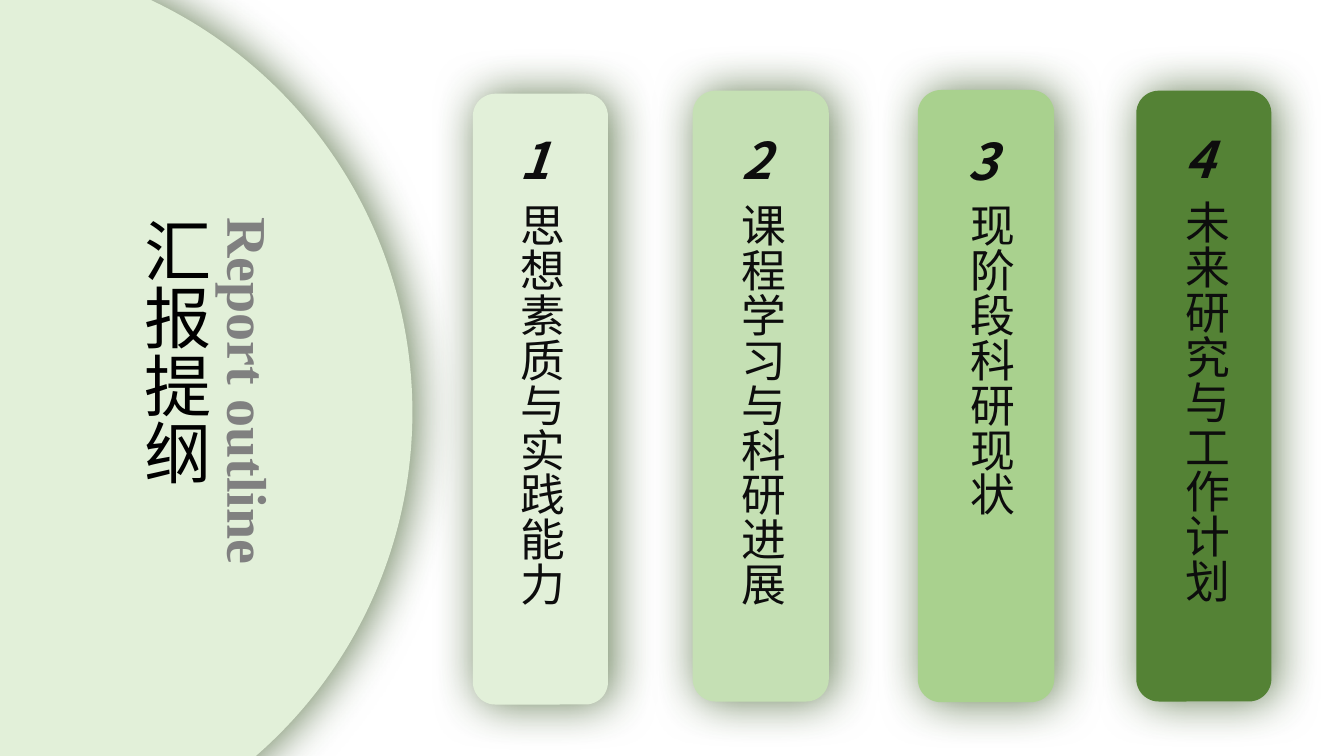
from lxml.etree import SubElement
from pptx import Presentation
from pptx.dml.color import RGBColor
from pptx.enum.shapes import MSO_SHAPE as Shape
from pptx.enum.text import MSO_AUTO_SIZE as AutoSize
from pptx.oxml.ns import qn
from pptx.util import Inches, Pt

COLORS = {
    "pale": "E2F0D9",
    "light": "C5E0B4",
    "medium": "A9D18E",
    "dark": "548235",
    "shadow": "385723",
    "ink": "0D0D0D",
    "black": "000000",
    "gray": "808080",
}
SANS = "Noto Sans CJK SC"
SERIF = "Times New Roman"

# fill, outline, card box, number box, title, title box
CARDS = [
    ("pale", None, (4.69, 0.93, 1.34, 6.06), (5.05, 1.23, 0.6, 0.71),
     "思想素质与实践能力", (4.94, 1.92, 0.74, 4.26)),
    ("light", None, (6.87, 0.9, 1.35, 6.06), (7.26, 1.23, 0.64, 0.71),
     "课程学习与科研进展", (7.14, 1.92, 0.74, 4.26)),
    ("medium", "medium", (9.11, 0.9, 1.34, 6.06), (9.5, 1.24, 0.65, 0.71),
     "现阶段科研现状", (9.41, 1.92, 0.74, 4.14)),
    ("dark", None, (11.27, 0.9, 1.34, 6.06), (11.65, 1.22, 0.58, 0.71),
     "未来研究与工作计划", (11.54, 1.89, 0.74, 4.58)),
]


def color(name):
    return RGBColor.from_string(COLORS[name])


class OutlineSlide:
    def __init__(self, presentation):
        self.slide = presentation.slides.add_slide(presentation.slide_layouts[6])
        self.shapes = self.slide.shapes

    def panel(self, shapes, kind, box, fill, outline=None):
        """Add a filled shape with a soft green shadow."""
        shape = shapes.add_shape(kind, *map(Inches, box))
        shape.fill.solid()
        shape.fill.fore_color.rgb = color(fill)
        if outline:
            shape.line.color.rgb = color(outline)
            shape.line.width = Pt(1)
        else:
            shape.line.fill.background()
        shape.shadow.inherit = False
        effects = shape.element.spPr.find(qn("a:effectLst"))
        shadow = SubElement(effects, qn("a:outerShdw"), blurRad=str(Pt(33)),
                            dist=str(Pt(3)), dir="0", algn="ctr", rotWithShape="0")
        tint = SubElement(shadow, qn("a:srgbClr"), val=COLORS["shadow"])
        SubElement(tint, qn("a:alpha"), val="74000")

    def text(self, shapes, box, lines, vertical=False):
        """Add a text box; each line is (text, size, font, color, bold, italic)."""
        shape = shapes.add_textbox(*map(Inches, box))
        frame = shape.text_frame
        frame.word_wrap = True
        frame.auto_size = AutoSize.SHAPE_TO_FIT_TEXT
        if vertical:
            next(shape.element.iter(qn("a:bodyPr"))).set("vert", "eaVert")
        frame.text = "\n".join(line[0] for line in lines)
        for paragraph, line in zip(frame.paragraphs, lines):
            font = paragraph.runs[0].font
            _, size, font.name, ink, font.bold, font.italic = line
            font.size = Pt(size)
            font.color.rgb = color(ink)
        for properties in shape.element.iter(qn("a:rPr")):
            typeface = properties.find(qn("a:latin")).get("typeface")
            SubElement(properties, qn("a:ea"), typeface=typeface)

    def card(self, number, fill, outline, card_box, number_box, title, title_box):
        shapes = self.shapes.add_group_shape().shapes
        self.panel(shapes, Shape.ROUNDED_RECTANGLE, card_box, fill, outline)
        self.text(shapes, title_box, [(title, 32, SANS, "ink", False, False)], vertical=True)
        self.text(shapes, number_box, [(str(number), 36, SANS, "ink", True, True)])


def main():
    presentation = Presentation()
    presentation.slide_width = Inches(13.33)
    presentation.slide_height = Inches(7.5)
    outline = OutlineSlide(presentation)
    outline.panel(outline.shapes, Shape.OVAL, (-4.95, -0.43, 9.04, 9.04), "pale")
    for number, card in enumerate(CARDS, start=1):
        outline.card(number, *card)
    outline.text(outline.shapes, (1.18, 2.06, 1.68, 3.92), [
        ("Report outline", 40, SERIF, "gray", True, False),
        ("汇报提纲", 48, SANS, "black", False, False),
    ], vertical=True)
    presentation.save("out.pptx")


if __name__ == "__main__":
    main()
